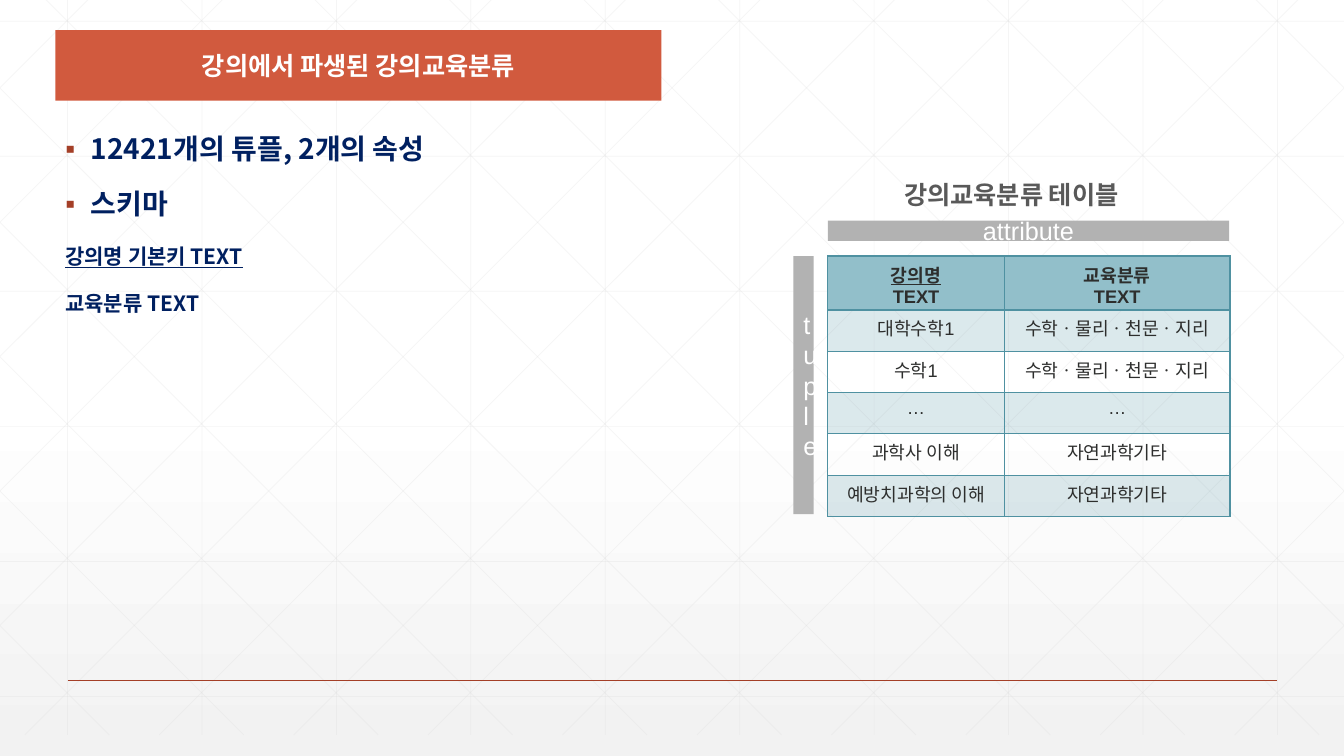
from lxml.etree import SubElement
from pptx import Presentation
from pptx.dml.color import RGBColor
from pptx.enum.shapes import MSO_CONNECTOR, MSO_SHAPE
from pptx.enum.text import MSO_ANCHOR, PP_ALIGN
from pptx.oxml.ns import qn
from pptx.util import Inches, Pt

COLORS = {
    "white": "FFFFFF", "shade": "F2F2F2", "grid": "D9D9D9", "rule": "A43F27",
    "banner": "D15A3E", "navy": "002060", "teal": "4F91A1", "header": "92BFCA",
    "cell_text": "2D2E2D", "label": "B2B2B2", "caption": "595959",
}
KOREAN = "Noto Sans CJK KR"
LATIN = "Arial"
WIDTH, HEIGHT = 13.33, 7.5
GRID_TOP, GRID_BOTTOM, GRID_STEP = -0.21, 7.29, 4 / 3
ROWS = [
    ("강의명\nTEXT", "교육분류\nTEXT"),
    ("대학수학1", "수학ㆍ물리ㆍ천문ㆍ지리"),
    ("수학1", "수학ㆍ물리ㆍ천문ㆍ지리"),
    ("…", "…"),
    ("과학사 이해", "자연과학기타"),
    ("예방치과학의 이해", "자연과학기타"),
]
SCHEMA = [
    ("12421개의 튜플, 2개의 속성", 20, True, False),
    ("스키마", 20, True, False),
    ("강의명 기본키 TEXT", 15, False, True),
    ("교육분류 TEXT", 15, False, False),
]


def rgb(name):
    return RGBColor.from_string(COLORS[name])


def add_alpha(element, percent):
    for color in element.iter(qn("a:srgbClr")):
        SubElement(color, qn("a:alpha"), val=str(percent * 1000))


def style_paragraph(paragraph, font, size, color, bold=False, underline=False):
    for run in paragraph.runs:
        run.font.name = font
        run.font.size = Pt(size)
        run.font.bold = bold
        run.font.underline = underline
        run.font.color.rgb = rgb(color)
        SubElement(run.font._element, qn("a:ea"), typeface=KOREAN)


def set_background(slide):
    fill = slide.background.fill
    fill.gradient()
    fill.gradient_angle = 270
    for stop, position, color in zip(fill.gradient_stops, (0.53, 1), ("white", "shade")):
        stop.position = position
        stop.color.rgb = rgb(color)


def add_line(slide, start, end, color, width, opacity=100):
    line = slide.shapes.add_connector(
        MSO_CONNECTOR.STRAIGHT, *(Inches(value) for value in (*start, *end)))
    line.line.color.rgb = rgb(color)
    line.line.width = Pt(width)
    properties = line._element.spPr
    if opacity < 100:
        add_alpha(properties, opacity)
    SubElement(properties, qn("a:effectLst"))


def add_grid(slide):
    def grid_line(start, end):
        add_line(slide, start, end, "grid", 0.5, 25)

    for column in range(10):
        x = 0.67 + column * GRID_STEP
        grid_line((x, GRID_TOP), (x, GRID_BOTTOM))
    for row in range(6):
        y = 0.21 + row * 1.34
        grid_line((0, y), (WIDTH, y))
    for diagonal in range(-5, 10):
        top_x = 0.25 + diagonal * GRID_STEP
        left = max(top_x, 0)
        right = min(top_x + GRID_BOTTOM - GRID_TOP, WIDTH)
        start_y, end_y = (GRID_TOP + x - top_x for x in (left, right))
        grid_line((left, start_y), (right, end_y))
        grid_line((WIDTH - left, start_y), (WIDTH - right, end_y))


def add_block(slide, box, color, text=""):
    block = slide.shapes.add_shape(MSO_SHAPE.RECTANGLE, *(Inches(value) for value in box))
    block.shadow.inherit = False
    block.fill.solid()
    block.fill.fore_color.rgb = rgb(color)
    block.line.fill.background()
    if text:
        frame = block.text_frame
        frame.text = text
        frame.word_wrap = True
        frame.vertical_anchor = MSO_ANCHOR.MIDDLE
        frame.paragraphs[0].alignment = PP_ALIGN.CENTER
        style_paragraph(frame.paragraphs[0], LATIN, 18, "white")


def add_text_frame(slide, box):
    frame = slide.shapes.add_textbox(*(Inches(value) for value in box)).text_frame
    frame.word_wrap = True
    return frame


def add_heading(slide, box, text, color):
    frame = add_text_frame(slide, box)
    frame.text = text
    frame.paragraphs[0].alignment = PP_ALIGN.CENTER
    style_paragraph(frame.paragraphs[0], KOREAN, 18, color, bold=True)


def add_bullet(paragraph):
    properties = paragraph._p.get_or_add_pPr()
    properties.set("marL", str(Inches(0.25)))
    properties.set("indent", str(-Inches(0.25)))
    bullet_color = SubElement(properties, qn("a:buClr"))
    SubElement(bullet_color, qn("a:srgbClr"), val=COLORS["rule"])
    SubElement(properties, qn("a:buFont"), typeface=LATIN)
    SubElement(properties, qn("a:buChar"), char="▪")


def add_schema(slide, box):
    frame = add_text_frame(slide, box)
    frame.text = "\n".join(text for text, *_ in SCHEMA)
    for index, (paragraph, item) in enumerate(zip(frame.paragraphs, SCHEMA)):
        _, size, bulleted, underline = item
        if bulleted:
            add_bullet(paragraph)
        paragraph.line_spacing = 0.9
        paragraph.space_before = Pt(18 if index else 0)
        style_paragraph(paragraph, KOREAN, size, "navy", True, underline)


def add_borders(cell, is_header):
    properties = cell._tc.get_or_add_tcPr()
    for side in ("lnL", "lnR", "lnT", "lnB"):
        width = 2 if is_header and side == "lnB" else 1
        border = SubElement(properties, qn(f"a:{side}"), w=str(Pt(width)))
        fill = SubElement(border, qn("a:solidFill"))
        SubElement(fill, qn("a:srgbClr"), val=COLORS["teal"])


def fill_cell(cell, row):
    if row and row % 2 == 0:
        cell.fill.background()
        return
    cell.fill.solid()
    cell.fill.fore_color.rgb = rgb("teal" if row else "header")
    if row:
        add_alpha(cell._tc.tcPr.find(qn("a:solidFill")), 20)


def add_lecture_table(slide, box):
    table = slide.shapes.add_table(
        len(ROWS), 2, *(Inches(value) for value in box)).table
    table.first_row = False
    table.horz_banding = False
    for column, width in zip(table.columns, (1.75, 2.24)):
        column.width = Inches(width)
    for row, texts in enumerate(ROWS):
        table.rows[row].height = Inches(0.41)
        for column, text in enumerate(texts):
            cell = table.cell(row, column)
            cell.text_frame.text = text
            add_borders(cell, row == 0)
            fill_cell(cell, row)
            for line, paragraph in enumerate(cell.text_frame.paragraphs):
                paragraph.alignment = PP_ALIGN.CENTER
                is_key = row == column == line == 0
                style_paragraph(paragraph, LATIN, 13, "cell_text", row == 0, is_key)


def main():
    presentation = Presentation()
    presentation.slide_width = Inches(WIDTH)
    presentation.slide_height = Inches(HEIGHT)
    slide = presentation.slides.add_slide(presentation.slide_layouts[6])
    set_background(slide)
    add_grid(slide)
    add_line(slide, (0.67, 6.75), (12.67, 6.75), "rule", 1)
    add_block(slide, (0.55, 0.3, 6.01, 0.7), "banner")
    add_heading(slide, (0.55, 0.45, 6.01, 0.4), "강의에서 파생된 강의교육분류", "white")
    add_schema(slide, (0.55, 1.29, 6.01, 5.32))
    add_lecture_table(slide, (8.21, 2.54, 3.98, 2.56))
    add_block(slide, (8.21, 2.19, 3.98, 0.2), "label", "attribute")
    add_block(slide, (7.87, 2.54, 0.2, 2.56), "label", "tuple")
    add_heading(slide, (7.87, 1.73, 4.32, 0.4), "강의교육분류 테이블", "caption")
    presentation.save("out.pptx")


if __name__ == "__main__":
    main()
